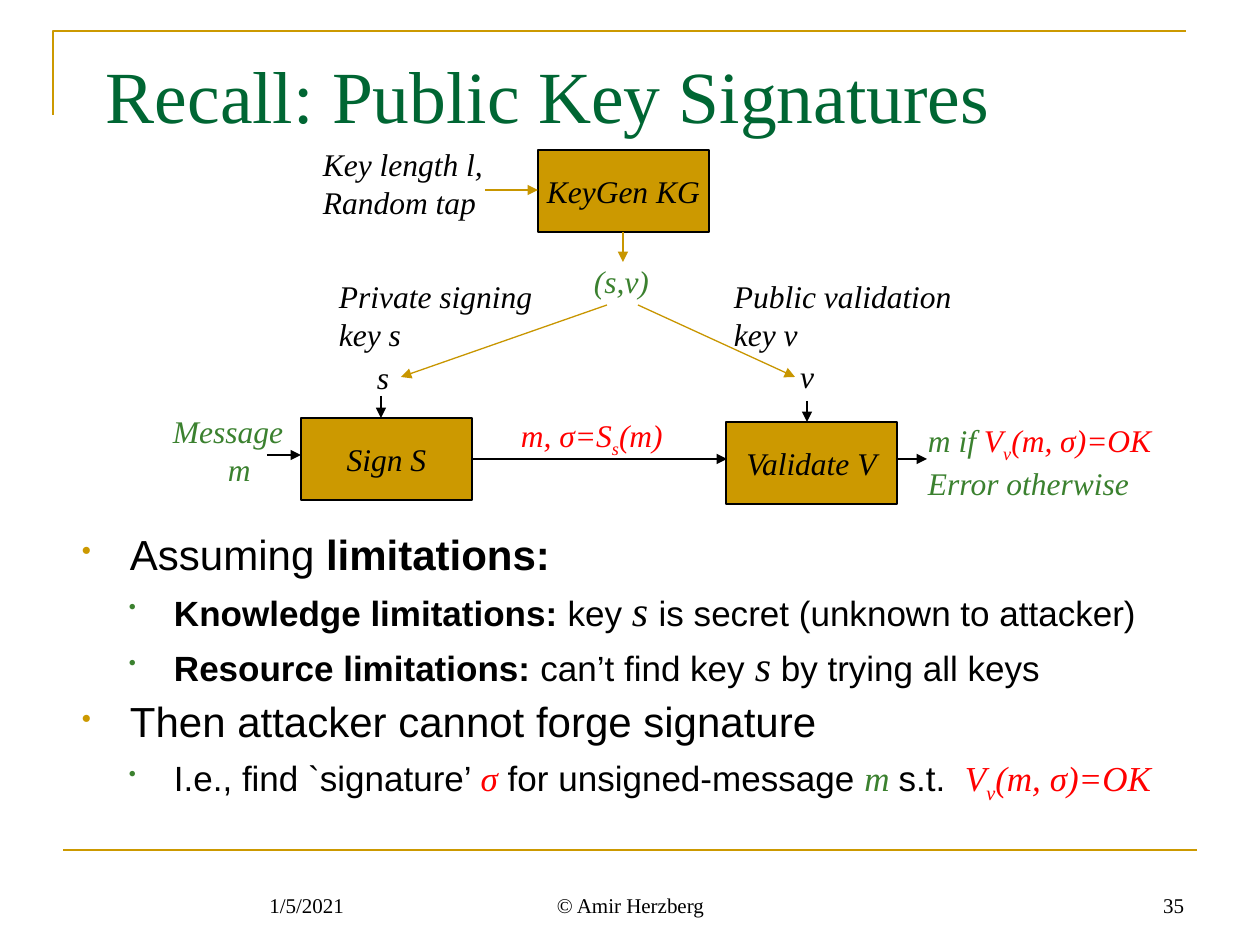
from lxml.etree import SubElement
from pptx import Presentation
from pptx.dml.color import RGBColor
from pptx.enum.shapes import MSO_CONNECTOR as Link, MSO_SHAPE as Preset
from pptx.enum.text import MSO_ANCHOR as Anchor, PP_ALIGN as Align
from pptx.oxml.ns import qn
from pptx.util import Pt

PX = 914400 / 126
GOLD = RGBColor(0xCC, 0x99, 0x00)
AMBER = RGBColor(0xC8, 0x96, 0x00)
PINE = RGBColor(0x00, 0x66, 0x33)
GREEN = RGBColor(0x3B, 0x81, 0x2F)
RED = RGBColor(0xFF, 0x00, 0x00)
BLACK = RGBColor(0, 0, 0)
SERIF, SANS = "Times New Roman", "Arial"


def style(name, size, color=BLACK, italic=False, bold=False):
    """Return the font values of one text style."""
    return {"name": name, "size": Pt(size), "italic": italic, "bold": bold, "color": color}


TITLE = style(SERIF, 42, PINE)
FOOT = style(SERIF, 12)
NOTE = style(SERIF, 18, italic=True)
NOTE_GREEN = style(SERIF, 18, GREEN, True)
NOTE_RED = style(SERIF, 18, RED, True)
HEAD, HEAD_BOLD = style(SANS, 24), style(SANS, 24, bold=True)
ITEM, ITEM_BOLD = style(SANS, 20), style(SANS, 20, bold=True)
KEY = style(SERIF, 24, italic=True)
MATH, MATH_GREEN = style(SERIF, 20, RED, True), style(SERIF, 20, GREEN, True)


def check(form):
    """Return the runs of the validation formula."""
    return [("V", form), ("v", form, "sub"), ("(m, σ)=OK", form)]


HEADLINE = ((93, 33, 1071, 96), [[("Recall: Public Key Signatures", TITLE)]])
FOOTERS = [
    ((63, 861, 294, 63), "1/5/2021", Align.RIGHT),
    ((431, 861, 399, 63), "© Amir Herzberg", Align.CENTER),
    ((903, 861, 294, 63), "35", Align.RIGHT),
]
BLOCK_SIZE = (171, 82)
BLOCKS = [("Sign S", 301, 418), ("Validate V", 726, 422), ("KeyGen KG", 538, 150)]
LABELS = [
    ((164, 407, 130, 86), [[("Message", NOTE_GREEN)], [("m", NOTE_GREEN)]]),
    ((919, 416, 246, 86), [[("m if ", NOTE_GREEN)] + check(NOTE_RED),
                           [("Error otherwise", NOTE_GREEN)]]),
    ((512, 411, 163, 48), [[("m, σ=S", NOTE_RED), ("s", NOTE_RED, "sub"), ("(m)", NOTE_RED)]]),
    ((330, 272, 214, 86), [[("Private signing", NOTE)], [("key s", NOTE)]]),
    ((585, 257, 74, 48), [[("(s,v)", NOTE_GREEN)]]),
    ((314, 140, 189, 86), [[("Key length l,", NOTE)], [("Random tap", NOTE)]]),
    ((368, 353, 32, 48), [[("s", NOTE)]]),
    ((791, 352, 33, 48), [[("v", NOTE)]]),
    ((725, 272, 239, 86), [[("Public validation", NOTE)], [("key v", NOTE)]]),
]
MESSAGE_INDENT = 55
ARROWS = [
    (BLACK, [(267, 455, 301, 455), (896, 459, 927, 459), (807, 401, 807, 422),
             (381, 396, 381, 418), (472, 459, 727, 459)]),
    (AMBER, [(485, 190, 538, 190), (623, 232, 623, 262),
             (607, 305, 401, 377), (638, 305, 795, 377)]),
]
POINTS_BOX = (69, 528, 1110, 217)
POINTS = [
    (0, [("Assuming ", HEAD), ("limitations:", HEAD_BOLD)]),
    (1, [("Knowledge limitations: ", ITEM_BOLD), ("key ", ITEM), ("s ", KEY),
         ("is secret (unknown to attacker)", ITEM)]),
    (1, [("Resource limitations: ", ITEM_BOLD), ("can’t find key ", ITEM), ("s", KEY),
         (" by trying all keys", ITEM)]),
    (0, [("Then attacker cannot forge signature", HEAD)]),
    (1, [("I.e., find `signature’ ", ITEM), ("σ", MATH), (" for unsigned-message ", ITEM),
         ("m ", MATH_GREEN), ("s.t.  ", ITEM)] + check(MATH)),
]
BULLETS = [(48, -48, GOLD, 65), (92, -45, GREEN, 60)]


def px(*values):
    """Turn px into EMU."""
    return [round(value * PX) for value in values]


def write(frame, paragraphs, align=Align.LEFT, insets=(9, 5, 9, 5), wrap=False, anchor=Anchor.TOP):
    """Fill a text frame with styled runs."""
    sides = ("margin_left", "margin_top", "margin_right", "margin_bottom")
    layout = dict(zip(sides, px(*insets)), word_wrap=wrap, vertical_anchor=anchor)
    for key, value in layout.items():
        setattr(frame, key, value)
    for index, runs in enumerate(paragraphs):
        line = frame.add_paragraph() if index else frame.paragraphs[0]
        line.alignment = align
        for text, form, *script in runs:
            run = line.add_run()
            run.text = text
            for key, value in form.items():
                if key == "color":
                    run.font.color.rgb = value
                else:
                    setattr(run.font, key, value)
            if script:
                run._r.get_or_add_rPr().set("baseline", "-25000")
    return frame.paragraphs


def indent(line, left, first=0):
    """Set the left and first-line indents of a paragraph."""
    props = line._p.get_or_add_pPr()
    for key, value in zip(("marL", "indent"), px(left, first)):
        props.set(key, str(value))
    return props


def add_bullet(line, level):
    """Give a paragraph the bullet of its level."""
    left, first, color, percent = BULLETS[level]
    line.level = level
    props = indent(line, left, first)
    tint = SubElement(props, qn("a:buClr"))
    SubElement(tint, qn("a:srgbClr")).set("val", str(color))
    SubElement(props, qn("a:buSzPct")).set("val", str(percent * 1000))
    SubElement(props, qn("a:buChar")).set("char", "•")


def add_line(shapes, ends, color, width, arrow=False):
    """Draw a straight line, with an arrowhead if asked."""
    link = shapes.add_connector(Link.STRAIGHT, *px(*ends))
    link.line.color.rgb = color
    link.line.width = Pt(width)
    if arrow:
        SubElement(link.line._get_or_add_ln(), qn("a:tailEnd")).set("type", "triangle")
    SubElement(link._element.spPr, qn("a:effectLst"))


def main():
    """Build the slide and save it."""
    deck = Presentation()
    deck.slide_width, deck.slide_height = px(1260, 945)
    shapes = deck.slides.add_slide(deck.slide_layouts[6]).shapes

    corner = shapes.build_freeform(53, 115, scale=PX)
    corner.add_line_segments([(53, 31), (1186, 31)], close=False)
    frame_line = corner.convert_to_shape()
    frame_line.shadow.inherit = False
    frame_line.fill.background()
    frame_line.line.color.rgb = GOLD
    frame_line.line.width = Pt(1.5)
    add_line(shapes, (63, 850, 1197, 850), GOLD, 1.5)

    for box, text, align in FOOTERS:
        write(shapes.add_textbox(*px(*box)).text_frame, [[(text, FOOT)]], align,
              (13, 6, 13, 6), True, Anchor.BOTTOM)
    box, heading = HEADLINE
    write(shapes.add_textbox(*px(*box)).text_frame, heading, insets=(13, 17, 13, 0), wrap=True)

    lines = write(shapes.add_textbox(*px(*POINTS_BOX)).text_frame, [runs for _, runs in POINTS],
                  insets=(13, 6, 13, 6), wrap=True)
    for index, (line, (level, _)) in enumerate(zip(lines, POINTS)):
        line.line_spacing = 0.9
        line.space_before = Pt(6 if index else 0)
        add_bullet(line, level)

    for text, left, top in BLOCKS:
        block = shapes.add_shape(Preset.RECTANGLE, *px(left, top, *BLOCK_SIZE))
        block.shadow.inherit = False
        block.fill.solid()
        block.fill.fore_color.rgb = GOLD
        block.line.color.rgb = BLACK
        block.line.width = Pt(0.75)
        write(block.text_frame, [[(text, NOTE)]], Align.CENTER, anchor=Anchor.MIDDLE)

    for color, routes in ARROWS:
        for ends in routes:
            add_line(shapes, ends, color, 0.75, arrow=True)

    labels = [write(shapes.add_textbox(*px(*box)).text_frame, text) for box, text in LABELS]
    indent(labels[0][1], MESSAGE_INDENT)

    deck.save("out.pptx")


if __name__ == "__main__":
    main()
